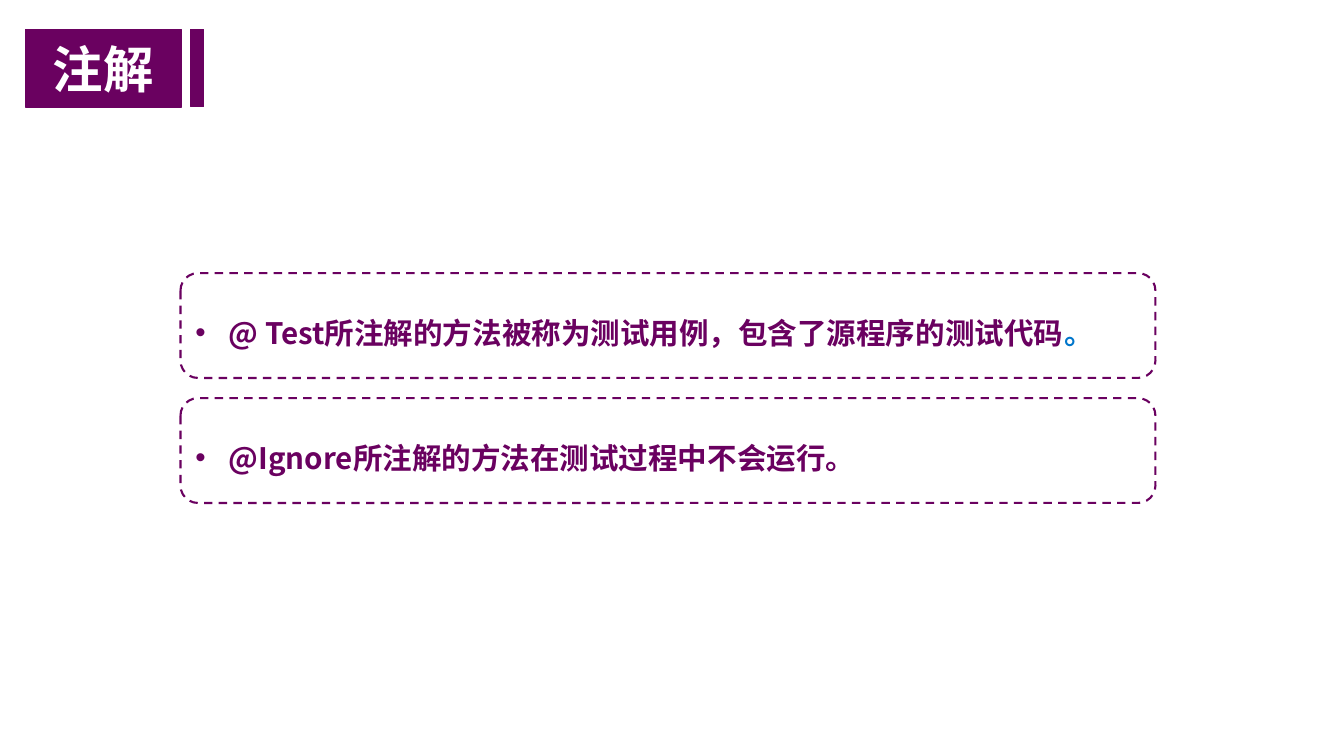
from dataclasses import dataclass

import pptx
import pptx.dml.color
import pptx.enum.dml
import pptx.enum.shapes
import pptx.enum.text
import pptx.oxml
import pptx.oxml.ns
import pptx.util
from pptx.util import Inches


@dataclass(frozen=True)
class Theme:
    purple: str = "6A0160"
    blue: str = "0076CB"
    white: str = "FFFFFF"
    title_font: str = "Arial"
    body_font: str = "Noto Sans CJK SC"
    title_size: float = 36
    body_size: float = 21.1
    line_spacing: float = 35.1
    border: float = 1
    dashed_border: float = 1.5


THEME = Theme()

NOTES = [
    [("@ Test所注解的方法被称为测试用例，包含了源程序的测试代码", THEME.purple),
     ("。", THEME.blue)],
    [("@Ignore所注解的方法在测试过程中不会运行。", THEME.purple)],
]


def rgb(color):
    return pptx.dml.color.RGBColor.from_string(color)


def add_child(parent, tag, **attributes):
    child = pptx.oxml.parse_xml(f"<a:{tag} {pptx.oxml.ns.nsdecls('a')}/>")
    for name, value in attributes.items():
        child.set(name, value)
    parent.append(child)


# Text
def add_span(para, text, font, size, color):
    span = para.add_run()
    span.text = text
    span.font.size = pptx.util.Pt(size)
    span.font.bold = True
    span.font.color.rgb = rgb(color)
    span.font.name = font
    add_child(span.font._element, "ea", typeface=THEME.body_font)


def format_bullet(para):
    properties = para._p.get_or_add_pPr()
    indent = Inches(0.33)
    properties.set("marL", str(indent))
    properties.set("indent", str(-indent))
    add_child(properties, "buFont", typeface="Arial")
    add_child(properties, "buChar", char="•")
    para.line_spacing = pptx.util.Pt(THEME.line_spacing)
    para.alignment = pptx.enum.text.PP_ALIGN.LEFT


# Shapes
def paint(box):
    box.fill.solid()
    box.fill.fore_color.rgb = rgb(THEME.purple)
    box.line.color.rgb = rgb(THEME.purple)
    box.line.width = pptx.util.Pt(THEME.border)


def place_title(page, text, left, top, width, height):
    title = page.shapes.title
    title.left, title.top = Inches(left), Inches(top)
    title.width, title.height = Inches(width), Inches(height)
    paint(title)
    frame = title.text_frame
    frame.auto_size = pptx.enum.text.MSO_AUTO_SIZE.NONE
    frame.vertical_anchor = pptx.enum.text.MSO_ANCHOR.MIDDLE
    frame.margin_left = frame.margin_right = Inches(0.07)
    frame.margin_top = frame.margin_bottom = Inches(0.04)
    para = frame.paragraphs[0]
    para.alignment = pptx.enum.text.PP_ALIGN.CENTER
    add_span(para, text, THEME.title_font, THEME.title_size, THEME.white)


def add_box(page, kind, left, top, width, height):
    box = page.shapes.add_shape(
        kind, Inches(left), Inches(top), Inches(width), Inches(height))
    box.shadow.inherit = False
    return box


def add_note(page, spans, left, top, width, height):
    box = add_box(page, pptx.enum.shapes.MSO_SHAPE.ROUNDED_RECTANGLE,
                  left, top, width, height)
    box.fill.background()
    box.line.color.rgb = rgb(THEME.purple)
    box.line.width = pptx.util.Pt(THEME.dashed_border)
    box.line.dash_style = pptx.enum.dml.MSO_LINE.DASH
    frame = box.text_frame
    frame.word_wrap = True
    frame.vertical_anchor = pptx.enum.text.MSO_ANCHOR.MIDDLE
    para = frame.paragraphs[0]
    format_bullet(para)
    for text, color in spans:
        add_span(para, text, THEME.body_font, THEME.body_size, color)


def main():
    deck = pptx.Presentation()
    deck.slide_width, deck.slide_height = Inches(13.33), Inches(7.5)
    page = deck.slides.add_slide(deck.slide_layouts.get_by_name("Title Only"))

    # Heading with its accent bar
    place_title(page, "注解", 0.25, 0.29, 1.55, 0.77)
    paint(add_box(page, pptx.enum.shapes.MSO_SHAPE.RECTANGLE,
                  1.89, 0.29, 0.13, 0.77))

    # Stacked notes
    for row, spans in enumerate(NOTES):
        add_note(page, spans, 1.79, 2.71 + row * 1.24, 9.67, 1.04)

    deck.save("out.pptx")


if __name__ == "__main__":
    main()
